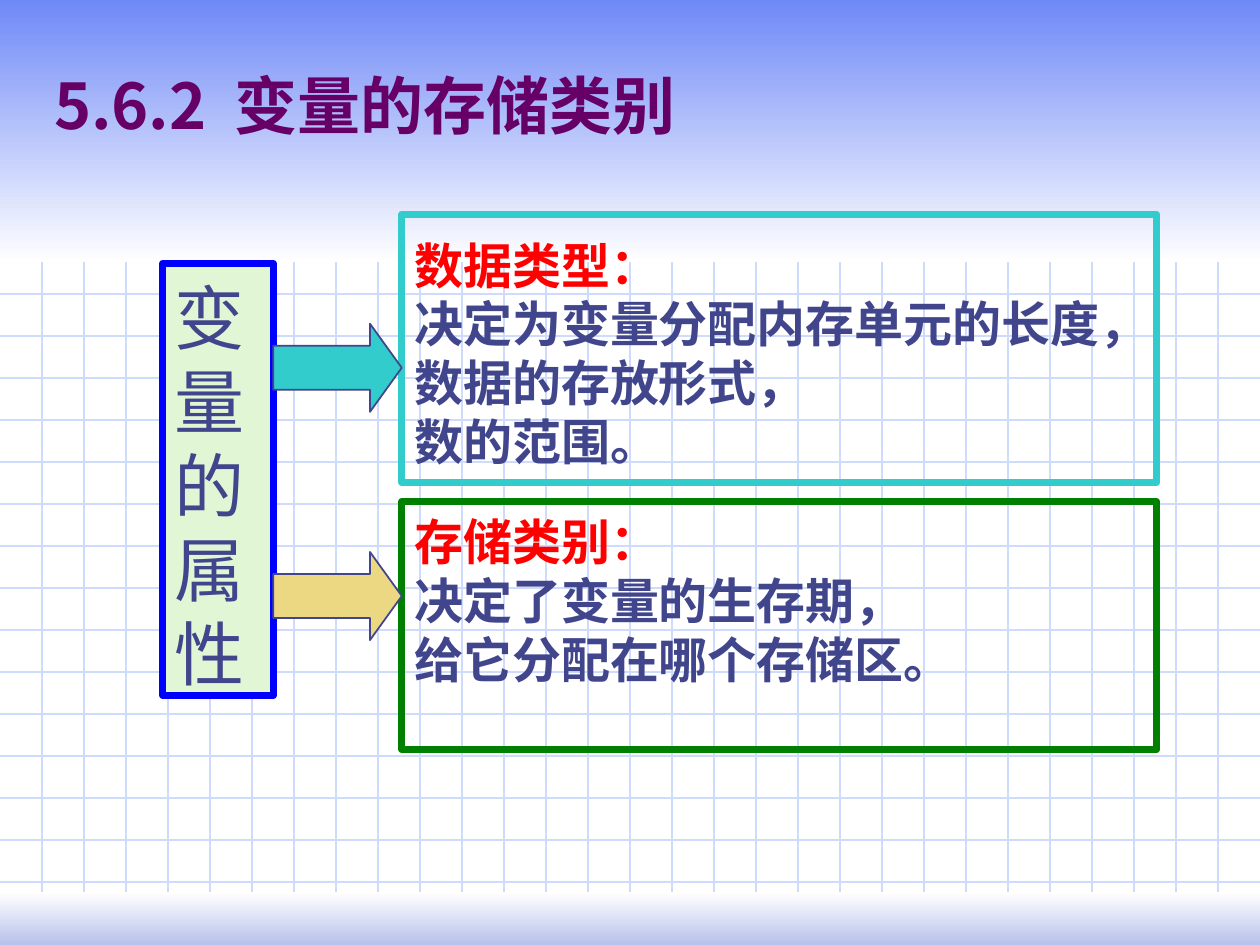
from lxml.etree import SubElement
from pptx import Presentation
from pptx.dml.color import RGBColor
from pptx.enum.shapes import MSO_CONNECTOR, MSO_SHAPE
from pptx.enum.text import MSO_ANCHOR, PP_ALIGN
from pptx.oxml.ns import qn
from pptx.util import Pt

GRID = RGBColor(0xCF, 0xDB, 0xFD)
SKY = RGBColor(0x6F, 0x89, 0xF7)
HAZE = RGBColor(0xB7, 0xC1, 0xEB)
WHITE = RGBColor(0xFF, 0xFF, 0xFF)
PURPLE = RGBColor(0x66, 0x00, 0x66)
INK = RGBColor(0x40, 0x45, 0x8C)
RED = RGBColor(0xFF, 0x00, 0x00)
BLUE = RGBColor(0x00, 0x00, 0xFF)
MINT = RGBColor(0xE0, 0xF6, 0xD4)
TEAL = RGBColor(0x33, 0xCC, 0xCC)
GREEN = RGBColor(0x00, 0x80, 0x00)
SAND = RGBColor(0xEC, 0xD8, 0x82)

CJK_FONT = "Noto Sans CJK SC"
BODY_FONT = "Times New Roman"
WIDTH, HEIGHT, GRID_STEP = 720, 540, 24
LINE_HEIGHT = 1.2  # in multiples of the text size

# Content
TITLE_NUMBER, TITLE_TEXT = "5.6.2", "变量的存储类别"
SUBJECT = "变量的属性"
# heading, lines, border, arrow fill, top, height, arrow top, anchor, top inset, wrap
ATTRIBUTES = [
    ("数据类型：", ["决定为变量分配内存单元的长度，", "数据的存放形式，", "数的范围。"],
     TEAL, TEAL, 122.4, 153.4, 185, MSO_ANCHOR.MIDDLE, 8.6, False),
    ("存储类别：", ["决定了变量的生存期，", "给它分配在哪个存储区。"],
     GREEN, SAND, 286.6, 141.8, 315.4, MSO_ANCHOR.TOP, 6, True),
]
# top, height, upper colour, lower colour
BANDS = [(0, 150, SKY, WHITE), (510, 30, WHITE, HAZE)]

prs = Presentation()
prs.slide_width, prs.slide_height = Pt(WIDTH), Pt(HEIGHT)
slide = prs.slides.add_slide(prs.slide_layouts[6])


def add_grid_line(x1, y1, x2, y2):
    line = slide.shapes.add_connector(MSO_CONNECTOR.STRAIGHT, Pt(x1), Pt(y1), Pt(x2), Pt(y2))
    line.line.color.rgb = GRID
    line.line.width = Pt(0.75)
    SubElement(line._element.spPr, qn("a:effectLst"))


def add_block(kind, left, top, width, height, fill=None, border=None, border_width=1):
    block = slide.shapes.add_shape(kind, Pt(left), Pt(top), Pt(width), Pt(height))
    block.shadow.inherit = False
    if fill is None:
        block.fill.background()
    else:
        block.fill.solid()
        block.fill.fore_color.rgb = fill
    if border is None:
        block.line.fill.background()
    else:
        block.line.color.rgb = border
        block.line.width = Pt(border_width)
    return block


def set_frame(frame, anchor, top, bottom=3.6, wrap=True):
    frame.word_wrap = wrap
    frame.vertical_anchor = anchor
    frame.margin_left = frame.margin_right = Pt(7.2)
    frame.margin_top, frame.margin_bottom = Pt(top), Pt(bottom)


def add_run(paragraph, text, size, color, latin, bold):
    paragraph.alignment = PP_ALIGN.LEFT
    paragraph.line_spacing = Pt(size * LINE_HEIGHT)
    run = paragraph.add_run()
    run.text = text
    font = run.font
    font.size, font.bold, font.name = Pt(size), bold, latin
    font.color.rgb = color
    SubElement(run._r.get_or_add_rPr(), qn("a:ea")).set("typeface", CJK_FONT)
    return run


# Background grid and gradient bands
for y in range(GRID_STEP, HEIGHT, GRID_STEP):
    add_grid_line(0, y, WIDTH, y)
for x in range(GRID_STEP, WIDTH, GRID_STEP):
    add_grid_line(x, 0, x, HEIGHT)
for top, height, upper, lower in BANDS:
    band = add_block(MSO_SHAPE.RECTANGLE, 0, top, WIDTH, height)
    band.fill.gradient()
    band.fill.gradient_angle = 270
    for stop, color in zip(band.fill.gradient_stops, (upper, lower)):
        stop.color.rgb = color

# Title, with a widened gap after the section number
title = slide.shapes.add_textbox(Pt(23.8), Pt(38.2), Pt(658.8), Pt(43.2)).text_frame
set_frame(title, MSO_ANCHOR.BOTTOM, 3.6, 0)
for part in (TITLE_NUMBER, " ", TITLE_TEXT):
    run = add_run(title.paragraphs[0], part, 36, PURPLE, CJK_FONT, True)
    if part == " ":
        run.font._element.set("spc", "800")

# Subject column
subject = add_block(MSO_SHAPE.RECTANGLE, 92.9, 150.5, 63.4, 247, MINT, BLUE, 3.75).text_frame
set_frame(subject, MSO_ANCHOR.TOP, 6.6, 0)
add_run(subject.paragraphs[0], SUBJECT, 40, INK, BODY_FONT, False)

# Attribute boxes
for heading, lines, border, _, top, height, _, anchor, inset, wrap in ATTRIBUTES:
    attribute = add_block(MSO_SHAPE.RECTANGLE, 229.7, top, 431.3, height,
                          border=border, border_width=4).text_frame
    set_frame(attribute, anchor, inset, wrap=wrap)
    add_run(attribute.paragraphs[0], heading, 28, RED, BODY_FONT, True)
    for line in lines:
        add_run(attribute.add_paragraph(), line, 28, INK, BODY_FONT, True)

# Arrows from the subject to each attribute
for _, _, _, fill, _, _, arrow_top, *_ in ATTRIBUTES:
    arrow = add_block(MSO_SHAPE.RIGHT_ARROW, 156.2, arrow_top, 73.4, 50.4, fill, INK)
    arrow.adjustments[0], arrow.adjustments[1] = 0.5, 0.36

prs.save("out.pptx")
